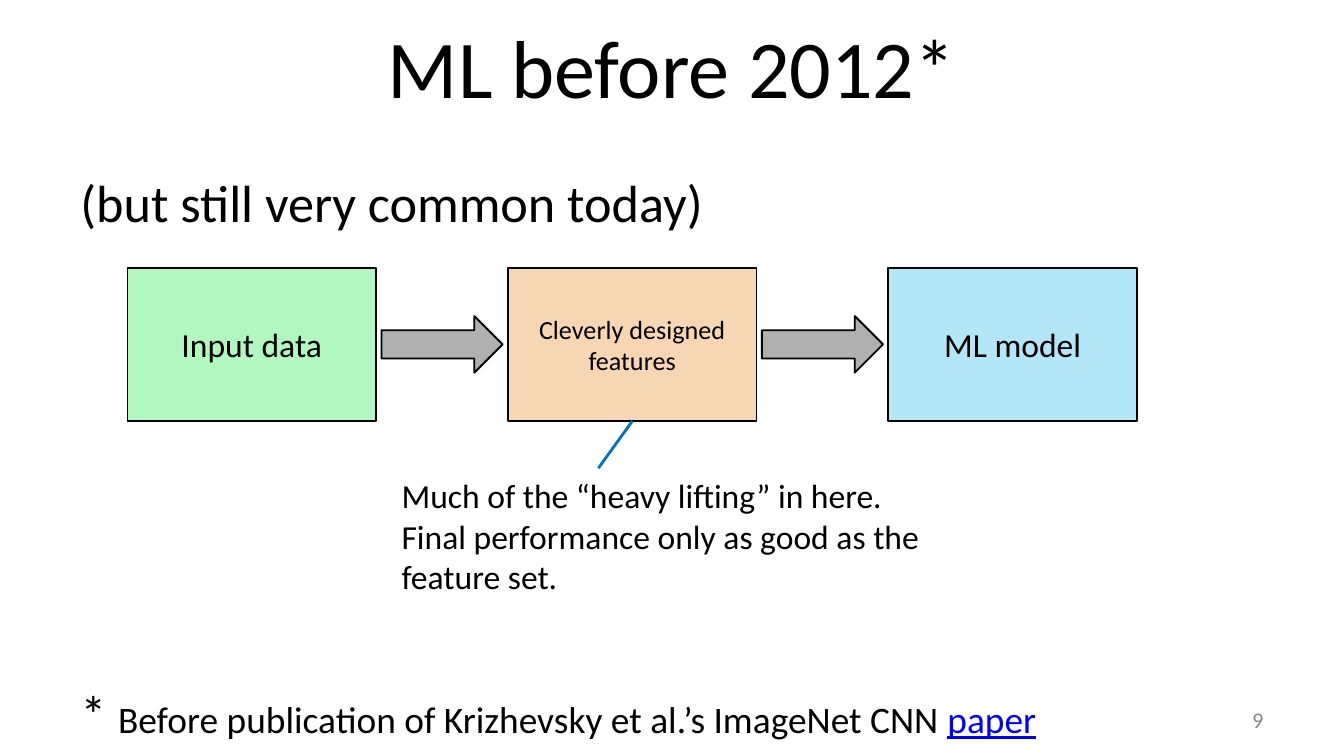
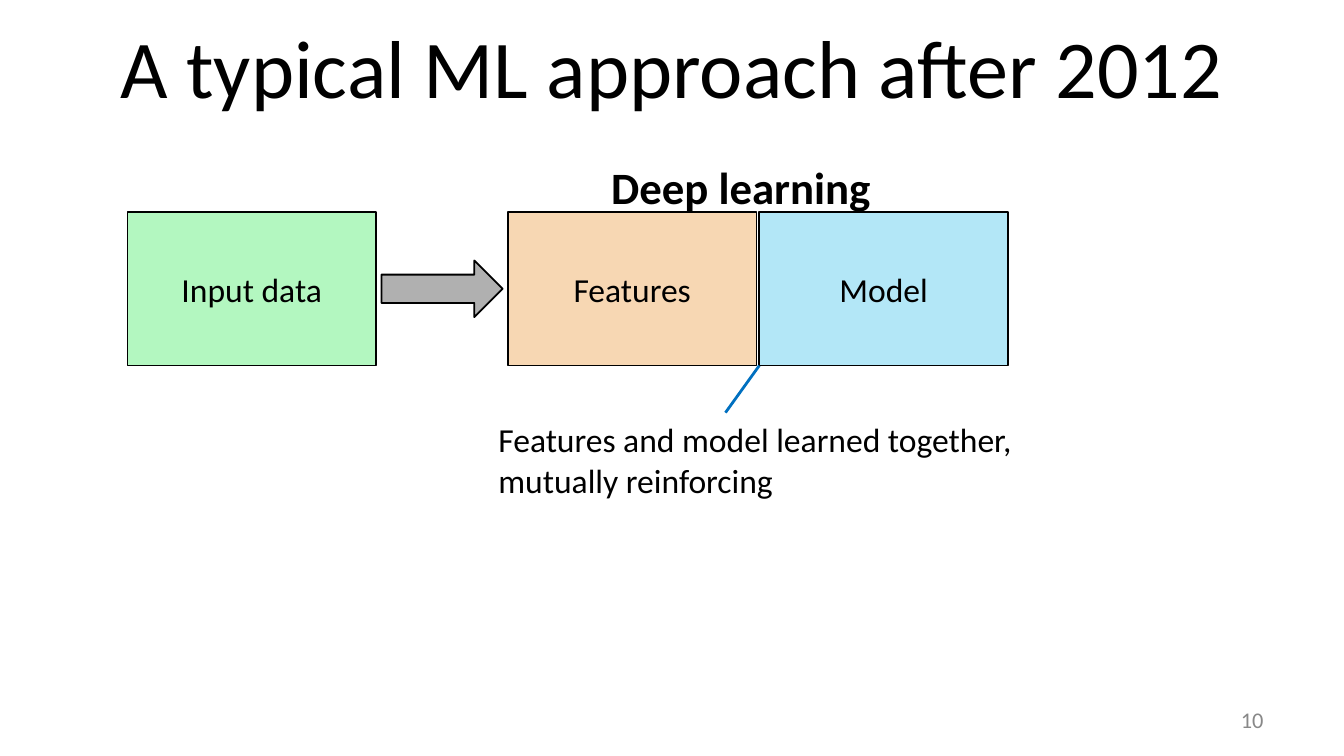
from lxml.etree import SubElement
from pptx import Presentation
from pptx.dml.color import RGBColor
from pptx.enum.shapes import MSO_CONNECTOR, MSO_SHAPE
from pptx.enum.text import MSO_ANCHOR, PP_ALIGN
from pptx.oxml.ns import qn
from pptx.util import Cm, Pt

FONT = "Calibri"
BLACK, GRAY, LINK, CALLOUT = "000000", "888888", "0000FF", "0070C0"
GREEN, ORANGE, BLUE, ARROW = "B3F7C0", "F7D7B3", "B3E7F7", "B0B0B0"

# All lengths are in centimetres.
BOX_W, BOX_H = 4.7, 2.9
ARROW_W, ARROW_H = 2.29, 1.07
CALLOUT_DX, CALLOUT_DY = -0.64, 0.89
INPUT_X, FEATURES_X, FAR_X, NEAR_X = 2.41, 9.6, 16.79, 14.35
NUMBER_RIGHT = 24.13

SLIDES = [
    {
        "title": "ML before 2012*",
        "number": ("9", 2.77),
        "row_top": 5.06,
        "steps": [
            ("Input data", INPUT_X, GREEN, 18),
            ("Cleverly designed\nfeatures", FEATURES_X, ORANGE, 14),
            ("ML model", FAR_X, BLUE, 18),
        ],
        "callout_from": "middle",
        "texts": [
            ("(but still very common today)", (1.27, 3.1, 22.86, 1.5), {"size": 28}),
            (["Much of the “heavy lifting” in here.",
              "Final performance only as good as the\nfeature set."],
             (7.34, 8.86, 10.39, 1.93), {}),
            ([[("* ", {"size": 28}),
               ("Before publication of Krizhevsky et al.’s ImageNet CNN ", {}),
               ("paper", {"color": LINK, "underline": True})]],
             (1.27, 12.76, 22.86, 1.5), {"size": 20}),
        ],
    },
    {
        "title": "A typical ML approach after 2012",
        "number": ("10", 5.92),
        "row_top": 4.01,
        "steps": [
            ("Input data", INPUT_X, GREEN, 18),
            ("Features", FEATURES_X, ORANGE, 18),
            ("Model", NEAR_X, BLUE, 18),
        ],
        "callout_from": "seam",
        "texts": [
            ("Deep learning", (11.3, 2.9, 5.61, 0.97), {"size": 24, "bold": True}),
            ("Features and model learned together,\nmutually reinforcing",
             (9.17, 7.8, 10.34, 1.35), {}),
        ],
    },
]


def rgb(color):
    return RGBColor.from_string(color)


def write(shape, content, size=18, color=BLACK, bold=False, underline=False,
          align=PP_ALIGN.LEFT, anchor=MSO_ANCHOR.TOP):
    """Fill a shape with a string or a list of paragraphs, each a string or (text, format) spans."""
    frame = shape.text_frame
    frame.word_wrap = True
    frame.vertical_anchor = anchor
    base = {"size": size, "color": color, "bold": bold, "underline": underline}
    for i, spans in enumerate([content] if isinstance(content, str) else content):
        para = frame.add_paragraph() if i else frame.paragraphs[0]
        para.alignment = align
        for text, changes in [(spans, {})] if isinstance(spans, str) else spans:
            style = base | changes
            for j, line in enumerate(text.split("\n")):
                if j:
                    para.add_line_break()
                span = para.add_run()
                span.text = line
                font = span.font
                font.name, font.size = FONT, Pt(style["size"])
                font.bold, font.underline = style["bold"], style["underline"]
                font.color.rgb = rgb(style["color"])


def add_text(page, content, place, **style):
    write(page.shapes.add_textbox(*map(Cm, place)), content, **style)


def add_block(page, kind, place, fill):
    block = page.shapes.add_shape(kind, *map(Cm, place))
    block.shadow.inherit = False
    block.fill.solid()
    block.fill.fore_color.rgb = rgb(fill)
    block.line.color.rgb = rgb(BLACK)
    block.line.width = Pt(1)
    return block


def add_callout(page, x, y):
    line = page.shapes.add_connector(
        MSO_CONNECTOR.STRAIGHT, Cm(x), Cm(y), Cm(x + CALLOUT_DX), Cm(y + CALLOUT_DY))
    line.line.color.rgb = rgb(CALLOUT)
    line.line.width = Pt(1.5)
    SubElement(line._element.spPr, qn("a:effectLst"))
    return line


def add_pipeline(page, steps, top, callout_from):
    """Draw the boxes, an arrow in every wide gap, and the callout line."""
    boxes = []
    for text, left, fill, size in steps:
        box = add_block(page, MSO_SHAPE.RECTANGLE, (left, top, BOX_W, BOX_H), fill)
        write(box, text, size=size, align=PP_ALIGN.CENTER, anchor=MSO_ANCHOR.MIDDLE)
        boxes.append(box)
    for (_, left, *_), (_, next_left, *_) in zip(steps, steps[1:]):
        gap = next_left - left - BOX_W
        if gap > ARROW_W:
            add_block(page, MSO_SHAPE.RIGHT_ARROW,
                      (left + BOX_W + (gap - ARROW_W) / 2, top + (BOX_H - ARROW_H) / 2,
                       ARROW_W, ARROW_H), ARROW)
    bottom = top + BOX_H
    if callout_from == "middle":
        add_callout(page, steps[1][1] + BOX_W / 2, bottom).begin_connect(boxes[1], 2)
    else:
        add_callout(page, steps[2][1], bottom)


def add_page(deck, content):
    page = deck.slides.add_slide(deck.slide_layouts[6])
    add_text(page, content["title"], (1.27, 0.23, 22.86, 2.03), size=44,
             align=PP_ALIGN.CENTER, anchor=MSO_ANCHOR.MIDDLE)
    add_pipeline(page, content["steps"], content["row_top"], content["callout_from"])
    for text, place, style in content["texts"]:
        add_text(page, text, place, **style)
    number, width = content["number"]
    add_text(page, number, (NUMBER_RIGHT - width, 13.23, width, 0.76), size=12,
             color=GRAY, align=PP_ALIGN.RIGHT, anchor=MSO_ANCHOR.MIDDLE)


def main():
    deck = Presentation()
    deck.slide_width, deck.slide_height = Cm(25.4), Cm(14.29)
    for content in SLIDES:
        add_page(deck, content)
    deck.save("out.pptx")


if __name__ == "__main__":
    main()
